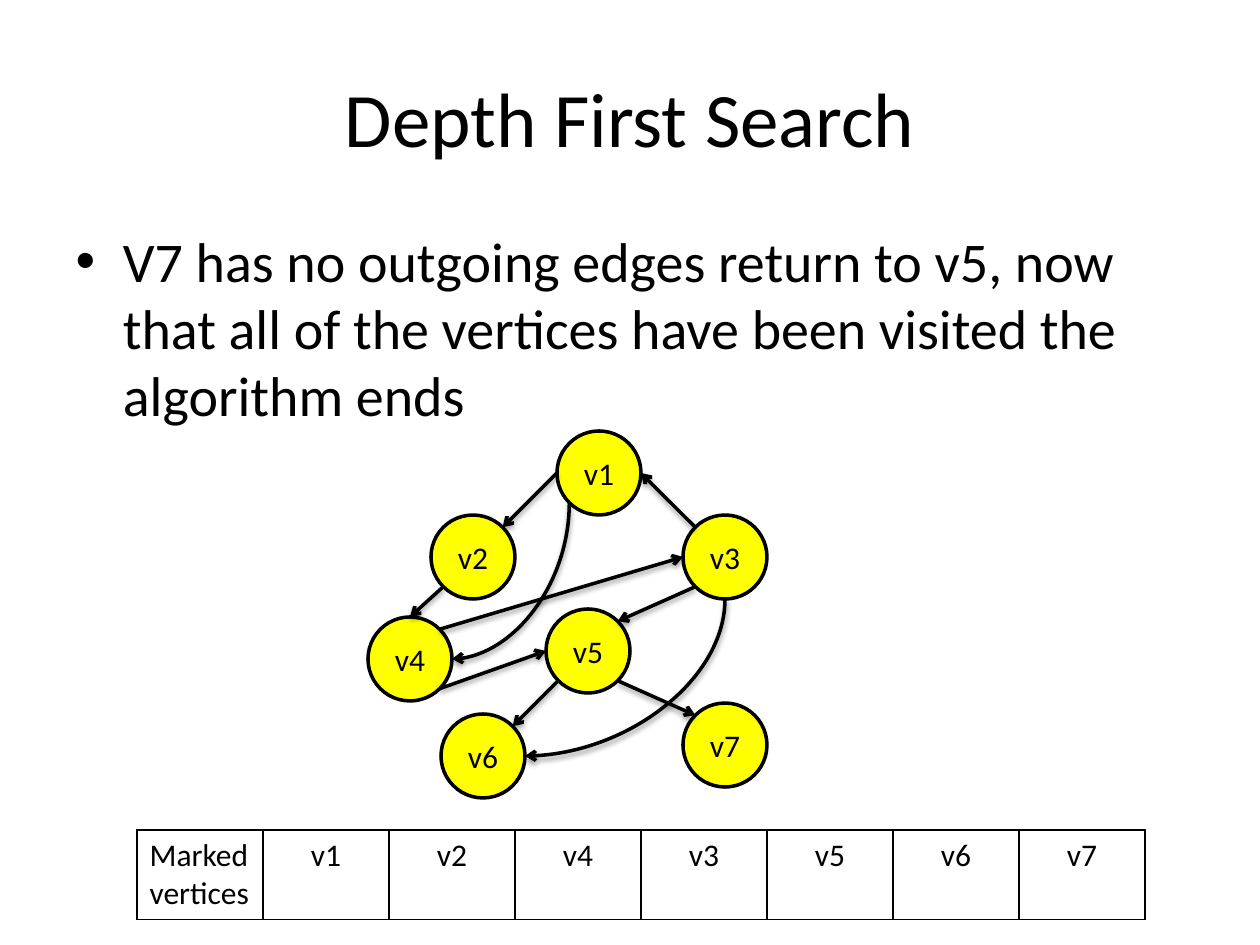
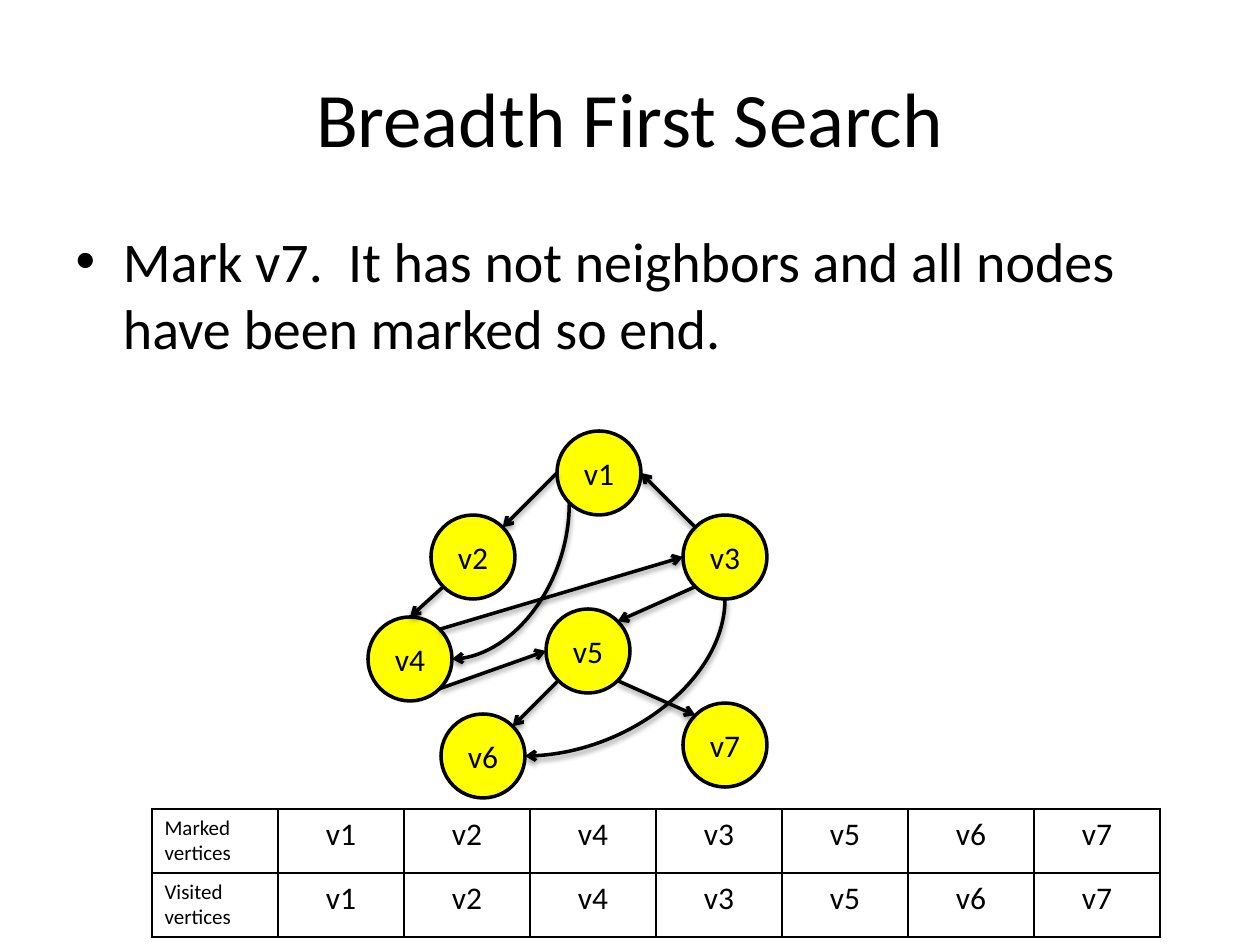
"""Build two graph traversal slides: depth first and breadth first search."""
from dataclasses import dataclass
from math import cos, radians, sin

from lxml import etree
from pptx import Presentation
from pptx.dml.color import RGBColor
from pptx.enum.shapes import MSO_CONNECTOR, MSO_SHAPE
from pptx.enum.text import MSO_ANCHOR, PP_ALIGN
from pptx.oxml.ns import qn
from pptx.util import Emu, Pt

LEFT, CENTER = PP_ALIGN.LEFT, PP_ALIGN.CENTER
TOP, MIDDLE = MSO_ANCHOR.TOP, MSO_ANCHOR.MIDDLE
ELLIPSE = MSO_SHAPE.OVAL
STRAIGHT, CURVED = MSO_CONNECTOR.STRAIGHT, MSO_CONNECTOR.CURVE

EMU_PER_PIXEL = 914400 / 126
SLIDE_WIDTH, SLIDE_HEIGHT = 1260, 945
TITLE_BOX = (63, 38, 1134, 158)
BODY_BOX = (63, 220, 1134, 624)
DIAMETER = 84
COLUMN_WIDTH = 126

VERTICES = {
    "v1": (557, 431), "v2": (431, 515), "v3": (683, 515), "v4": (368, 617),
    "v5": (546, 609), "v6": (441, 714), "v7": (683, 703),
}
N, NW, W, SW, S, SE, E, NE = range(8)
EDGES = [
    ("v1", W, "v2", NE, STRAIGHT),
    ("v2", SW, "v4", N, STRAIGHT),
    ("v1", SW, "v4", E, CURVED),
    ("v3", NW, "v1", E, STRAIGHT),
    ("v3", SW, "v5", NE, STRAIGHT),
    ("v3", S, "v6", E, CURVED),
    ("v4", SE, "v5", W, STRAIGHT),
    ("v5", SW, "v6", NE, STRAIGHT),
    ("v5", SE, "v7", NW, STRAIGHT),
    ("v4", NE, "v3", W, STRAIGHT),
]
VISIT_ORDER = ["v1", "v2", "v4", "v3", "v5", "v6", "v7"]


@dataclass(frozen=True)
class Theme:
    """Colours, font and sizes shared by the slides."""
    font: str = "Calibri"
    ink: RGBColor = RGBColor(0, 0, 0)
    vertex: RGBColor = RGBColor(255, 255, 0)
    title_size: int = 44
    body_size: int = 32
    label_size: int = 18
    small_size: int = 12
    line_width: int = 2
    border_width: int = 1


THEME = Theme()


def pixels(*lengths):
    """Turn pixel lengths into EMU."""
    return [Emu(round(length * EMU_PER_PIXEL)) for length in lengths]


def add_xml(parent, tag, **attributes):
    """Append a child element with the given attributes."""
    return etree.SubElement(parent, qn(tag), {name: str(value) for name, value in attributes.items()})


def write(frame, text, *, size, align=LEFT, anchor=TOP):
    """Put formatted text into a text frame."""
    frame.word_wrap = True
    frame.vertical_anchor = anchor
    paragraph = frame.paragraphs[0]
    paragraph.alignment = align
    run = paragraph.add_run()
    run.text = text
    run.font.name = THEME.font
    run.font.size = Pt(size)
    run.font.color.rgb = THEME.ink


class Deck:
    """Draws elements on the current slide in the shared style."""

    def __init__(self):
        """Start an empty presentation."""
        self.presentation = Presentation()
        self.presentation.slide_width, self.presentation.slide_height = pixels(SLIDE_WIDTH, SLIDE_HEIGHT)
        self.slide = None

    def start_slide(self, title, body):
        """Add a slide and fill its title and body."""
        self.slide = self.presentation.slides.add_slide(self.presentation.slide_layouts[1])
        title_shape, body_shape = self.slide.placeholders
        for shape, box in ((title_shape, TITLE_BOX), (body_shape, BODY_BOX)):
            shape.left, shape.top, shape.width, shape.height = pixels(*box)
        write(title_shape.text_frame, title, size=THEME.title_size, align=CENTER, anchor=MIDDLE)
        write(body_shape.text_frame, body, size=THEME.body_size)

    def outline(self, line):
        """Give a line the shared colour and width."""
        line.color.rgb = THEME.ink
        line.width = Pt(THEME.line_width)

    def vertex(self, label, left, top):
        """Draw one labelled circle."""
        shape = self.slide.shapes.add_shape(ELLIPSE, *pixels(left, top, DIAMETER, DIAMETER))
        shape.shadow.inherit = False
        shape.fill.solid()
        shape.fill.fore_color.rgb = THEME.vertex
        self.outline(shape.line)
        write(shape.text_frame, label, size=THEME.label_size, align=CENTER, anchor=MIDDLE)
        return shape

    def site(self, shape, index):
        """Return the point of a circle's connection site."""
        angle = radians(90 + 45 * index)
        radius = shape.width / 2
        return (shape.left + radius * (1 + cos(angle)), shape.top + radius * (1 - sin(angle)))

    def edge(self, source, source_site, target, target_site, kind):
        """Draw an arrow glued to two circles."""
        start_x, start_y = self.site(source, source_site)
        end_x, end_y = self.site(target, target_site)
        if kind == CURVED:
            center_x, center_y = (start_x + end_x) / 2, (start_y + end_y) / 2
            half_width, half_height = abs(end_y - start_y) / 2, abs(end_x - start_x) / 2
            start_x, end_x = center_x - half_width, center_x + half_width
            start_y, end_y = center_y - half_height, center_y + half_height
        points = [Emu(round(value)) for value in (start_x, start_y, end_x, end_y)]
        connector = self.slide.shapes.add_connector(kind, *points)
        properties = connector.element.spPr
        if kind == CURVED:
            properties.find(qn("a:xfrm")).set("rot", "5400000")
            properties.find(qn("a:prstGeom")).set("prst", "curvedConnector2")
        glue = connector.element.nvCxnSpPr.cNvCxnSpPr
        add_xml(glue, "a:stCxn", id=source.shape_id, idx=source_site)
        add_xml(glue, "a:endCxn", id=target.shape_id, idx=target_site)
        self.outline(connector.line)
        add_xml(connector.get_or_add_ln(), "a:tailEnd", type="arrow")
        effects = add_xml(properties, "a:effectLst")
        shadow = add_xml(effects, "a:outerShdw", blurRad=40000, dist=20000, dir=5400000, rotWithShape=0)
        add_xml(add_xml(shadow, "a:srgbClr", val=THEME.ink), "a:alpha", val=38000)

    def graph(self):
        """Draw all vertices and the edges between them."""
        circles = {label: self.vertex(label, *place) for label, place in VERTICES.items()}
        for source, source_site, target, target_site, kind in EDGES:
            self.edge(circles[source], source_site, circles[target], target_site, kind)

    def cell(self, cell, text, **text_format):
        """Fill one bordered table cell."""
        properties = cell._tc.get_or_add_tcPr()
        for side in ("a:lnL", "a:lnR", "a:lnT", "a:lnB"):
            border = add_xml(properties, side, w=Pt(THEME.border_width))
            add_xml(add_xml(border, "a:solidFill"), "a:srgbClr", val=THEME.ink)
        cell.fill.background()
        write(cell.text_frame, text, **text_format)

    def table(self, left, top, row_height, headings, heading_size):
        """Draw one row of visited vertices for each heading."""
        columns = len(VISIT_ORDER) + 1
        box = pixels(left, top, COLUMN_WIDTH * columns, row_height * len(headings))
        table = self.slide.shapes.add_table(len(headings), columns, *box).table
        table.first_row = table.horz_banding = False
        for row, heading in enumerate(headings):
            self.cell(table.cell(row, 0), heading, size=heading_size)
            for column, label in enumerate(VISIT_ORDER, start=1):
                self.cell(table.cell(row, column), label, size=THEME.label_size, align=CENTER)


def main():
    """Build and save the presentation."""
    deck = Deck()
    deck.start_slide(
        "Depth First Search",
        "V7 has no outgoing edges return to v5, now that all of the vertices "
        "have been visited the algorithm ends",
    )
    deck.graph()
    deck.table(137, 830, 89, ["Marked vertices"], THEME.label_size)

    deck.start_slide(
        "Breadth First Search",
        "Mark v7.  It has not neighbors and all nodes have been marked so end.",
    )
    deck.graph()
    deck.table(152, 809, 64, ["Marked vertices", "Visited vertices"], THEME.small_size)
    deck.presentation.save("out.pptx")


main()
